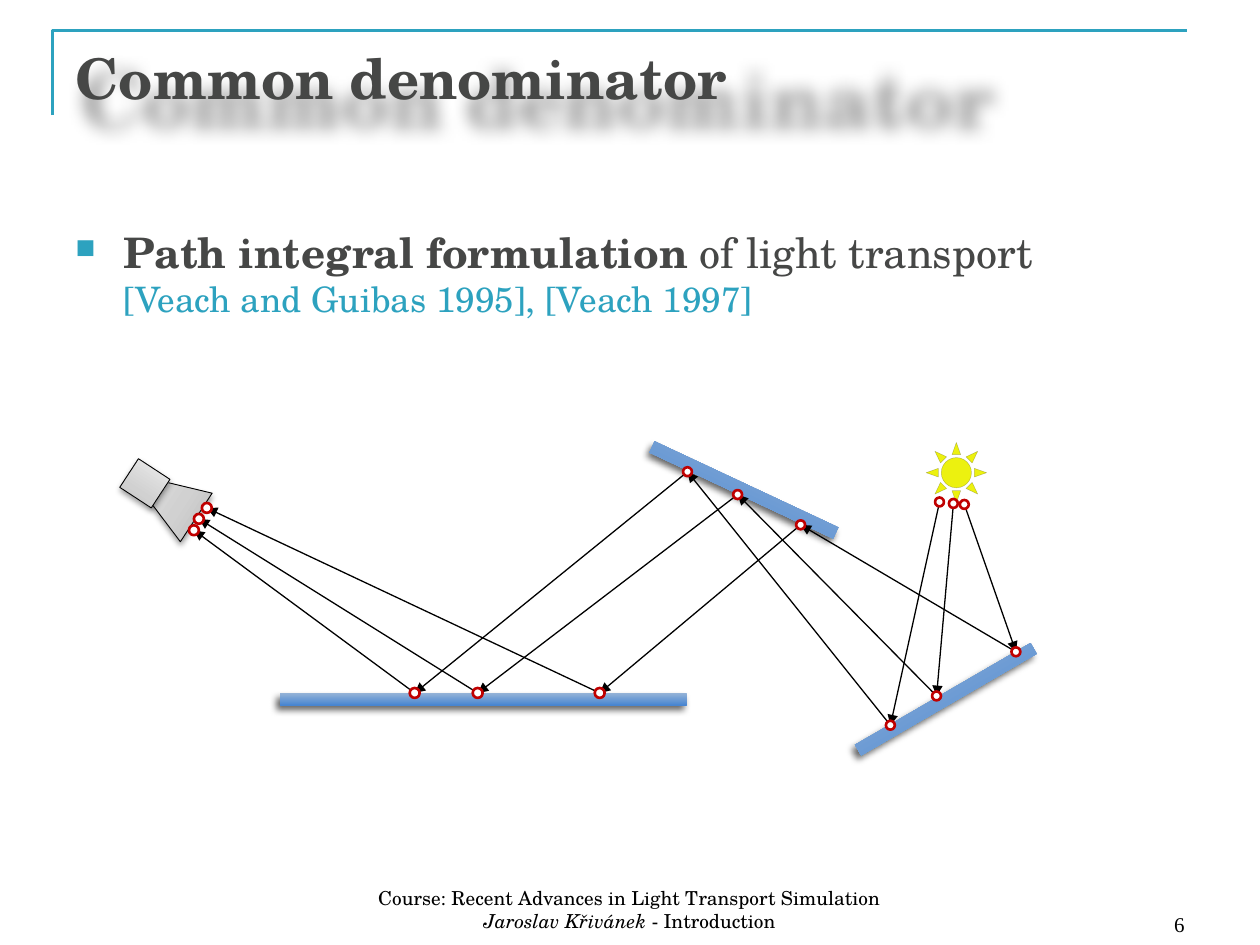
import itertools

import lxml.etree
import pptx
import pptx.dml.color
import pptx.enum.shapes
import pptx.enum.text
import pptx.oxml.ns
import pptx.util

Cm = pptx.util.Cm
Pt = pptx.util.Pt
SHAPES = pptx.enum.shapes.MSO_SHAPE
ALIGN = pptx.enum.text.PP_ALIGN
ANCHOR = pptx.enum.text.MSO_ANCHOR
qn = pptx.oxml.ns.qn

SERIF = "TeX Gyre Schola"
ACCENT = "2DA2BF"
INK = "464746"
BLACK = "000000"
BLUE_STOPS = [(0, "95B3D7"), (100, "4785D1")]
GREY_STOPS = [(0, "BDBDBD"), (35, "D1D1D1"), (100, "EEEEEE")]
BAR_SHADOW = {"color": BLACK, "alpha": 60, "blur": 4, "distance": 3, "angle": 129}
CAMERA_SHADOW = {"color": BLACK, "alpha": 38, "blur": 3.5, "distance": 2, "angle": 90}
TITLE_SHADOW = {"color": BLACK, "alpha": 40, "blur": 10, "distance": 2, "angle": 90, "scale": 140}

LIGHT_PATHS = [
    [(18.94, 10.12), (17.95, 14.62), (13.86, 9.51), (8.36, 13.97), (3.91, 10.69)],
    [(19.22, 10.15), (18.88, 14.03), (14.87, 9.97), (9.63, 13.97), (4.01, 10.46)],
    [(19.44, 10.17), (20.48, 13.14), (16.14, 10.58), (12.09, 13.97), (4.17, 10.24)],
]
DOT_SIZES = [0.18, 0.18, 0.18, 0.2, 0.2]
BARS = [
    ((17.02, 13.97, 4.09, 0.25), 149.9),
    ((12.95, 9.75, 4.09, 0.25), 205.1),
    ((5.64, 13.97, 8.2, 0.25), 180),
]


def rgb(value):
    return pptx.dml.color.RGBColor.from_string(value)


def set_values(target, values):
    for name, value in values.items():
        setattr(target, name, value)


def add_child(parent, tag, **attributes):
    child = lxml.etree.SubElement(parent, qn(tag))
    for name, value in attributes.items():
        child.set(name, str(value))
    return child


def add_color(parent, value, alpha=100):
    color = add_child(parent, "a:srgbClr", val=value)
    if alpha < 100:
        add_child(color, "a:alpha", val=alpha * 1000)


def set_line(line, color, width):
    line.color.rgb = rgb(color)
    line.width = Pt(width)


def set_gradient(fill, shape, stops):
    fill.gradient()
    fill.gradient_angle = 90
    stop_list = shape._element.spPr.find(qn("a:gradFill")).find(qn("a:gsLst"))
    for old_stop in list(stop_list):
        stop_list.remove(old_stop)
    for position, color in stops:
        add_color(add_child(stop_list, "a:gs", pos=position * 1000), color)


def set_shadow(shape, color, alpha, blur, distance, angle, scale=100):
    shape.shadow.inherit = False
    effects = shape._element.spPr.find(qn("a:effectLst"))
    shadow = add_child(effects, "a:outerShdw", blurRad=int(Pt(blur)), dist=int(Pt(distance)),
                       dir=angle * 60000, sx=scale * 1000, sy=scale * 1000,
                       algn="tl", rotWithShape=0)
    add_color(shadow, color, alpha)


def add_shape(slide, kind, box, rotation=0, fill=None, stops=None, line=None, shadow=None):
    shape = slide.shapes.add_shape(kind, *map(Cm, box))
    shape.rotation = rotation
    if stops:
        set_gradient(shape.fill, shape, stops)
    else:
        shape.fill.solid()
        shape.fill.fore_color.rgb = rgb(fill)
    if line:
        set_line(shape.line, *line)
    else:
        shape.line.fill.background()
    shape.shadow.inherit = False
    if shadow:
        set_shadow(shape, **shadow)
    return shape


def add_ray(slide, start, end):
    ray = slide.shapes.add_connector(pptx.enum.shapes.MSO_CONNECTOR.STRAIGHT,
                                     *map(Cm, start + end))
    set_line(ray.line, BLACK, 0.75)
    add_child(ray.line._get_or_add_ln(), "a:tailEnd", type="triangle")
    add_child(ray._element.spPr, "a:effectLst")


def add_dot(slide, center, size):
    x, y = center
    add_shape(slide, SHAPES.OVAL, (x - size / 2, y - size / 2, size, size),
              fill="FFFFFF", line=("C00000", 1.5))


def add_bullet(paragraph):
    properties = paragraph._p.get_or_add_pPr()
    properties.set("marL", str(Cm(0.97)))
    properties.set("indent", str(Cm(-0.97)))
    add_color(add_child(properties, "a:buClr"), ACCENT)
    add_child(properties, "a:buSzPct", val=65000)
    add_child(properties, "a:buChar", char="■")


def add_text(slide, box, lines, anchor=ANCHOR.TOP, align=ALIGN.LEFT, bullet=False):
    shape = slide.shapes.add_textbox(*map(Cm, box))
    set_values(shape.text_frame, {"word_wrap": True, "vertical_anchor": anchor})
    paragraph = shape.text_frame.paragraphs[0]
    paragraph.alignment = align
    if bullet:
        add_bullet(paragraph)
    for index, line in enumerate(lines):
        if index:
            paragraph.add_line_break()
        for text, color, values in line:
            run = paragraph.add_run()
            run.text = text
            set_values(run.font, {"name": SERIF, **values})
            run.font.color.rgb = rgb(color)
    return shape


def add_frame(slide):
    builder = slide.shapes.build_freeform(Cm(1.06), Cm(2.32))
    builder.add_line_segments([(Cm(1.06), Cm(0.62)), (Cm(23.92), Cm(0.62))], close=False)
    frame = builder.convert_to_shape()
    frame.fill.background()
    set_line(frame.line, ACCENT, 1.5)
    frame.shadow.inherit = False


def add_camera(slide):
    style = {"stops": GREY_STOPS, "line": (BLACK, 0.5), "shadow": CAMERA_SHADOW}
    add_shape(slide, SHAPES.ISOSCELES_TRIANGLE, (2.69, 9.17, 1.17, 1.63), 303.2, **style)
    add_shape(slide, SHAPES.RECTANGLE, (2.54, 9.4, 0.76, 0.69), 33.2, **style)


def add_sun(slide):
    sun = add_shape(slide, SHAPES.SUN, (18.67, 8.92, 1.22, 1.22),
                    fill="ECF10F", line=(BLACK, 0.25))
    line_color = sun.line._get_or_add_ln().find(qn("a:solidFill"))[0]
    add_child(line_color, "a:alpha", val=24000)


def add_scene(slide):
    add_camera(slide)
    for box, rotation in BARS:
        add_shape(slide, SHAPES.RECTANGLE, box, rotation, stops=BLUE_STOPS, shadow=BAR_SHADOW)
    add_sun(slide)
    for vertices in LIGHT_PATHS:
        for start, end in itertools.pairwise(vertices):
            add_ray(slide, start, end)
    for vertices in LIGHT_PATHS:
        for center, size in zip(vertices, DOT_SIZES):
            add_dot(slide, center, size)


def main():
    presentation = pptx.Presentation()
    set_values(presentation, {"slide_width": Cm(25.4), "slide_height": Cm(19.05)})
    slide = presentation.slides.add_slide(presentation.slide_layouts[6])
    add_frame(slide)
    title = add_text(slide, (1.27, 0.76, 22.86, 3.18),
                     [[("Common denominator", INK[:4] + "46", {"size": Pt(32), "bold": True})]])
    set_shadow(title, **TITLE_SHADOW)
    add_text(slide, (1.27, 4.45, 22.86, 12.57), [
        [("Path integral formulation", INK, {"size": Pt(24), "bold": True}),
         (" of light transport", INK, {"size": Pt(24)})],
        [("[Veach and Guibas 1995], [Veach 1997]", ACCENT, {"size": Pt(20)})],
    ], bullet=True)
    add_scene(slide)
    add_text(slide, (18.21, 17.73, 5.92, 1.27),
             [[("6", BLACK, {"size": Pt(12), "name": "Times New Roman"})]],
             ANCHOR.BOTTOM, ALIGN.RIGHT)
    small = {"size": Pt(11)}
    add_text(slide, (3.89, 17.65, 17.6, 1.27), [
        [("Course: Recent Advances in Light Transport Simulation", BLACK, small)],
        [("Jaroslav Křivánek ", BLACK, {**small, "italic": True}),
         ("- Introduction", BLACK, small)],
    ], ANCHOR.BOTTOM, ALIGN.CENTER)
    presentation.save("out.pptx")


if __name__ == "__main__":
    main()
